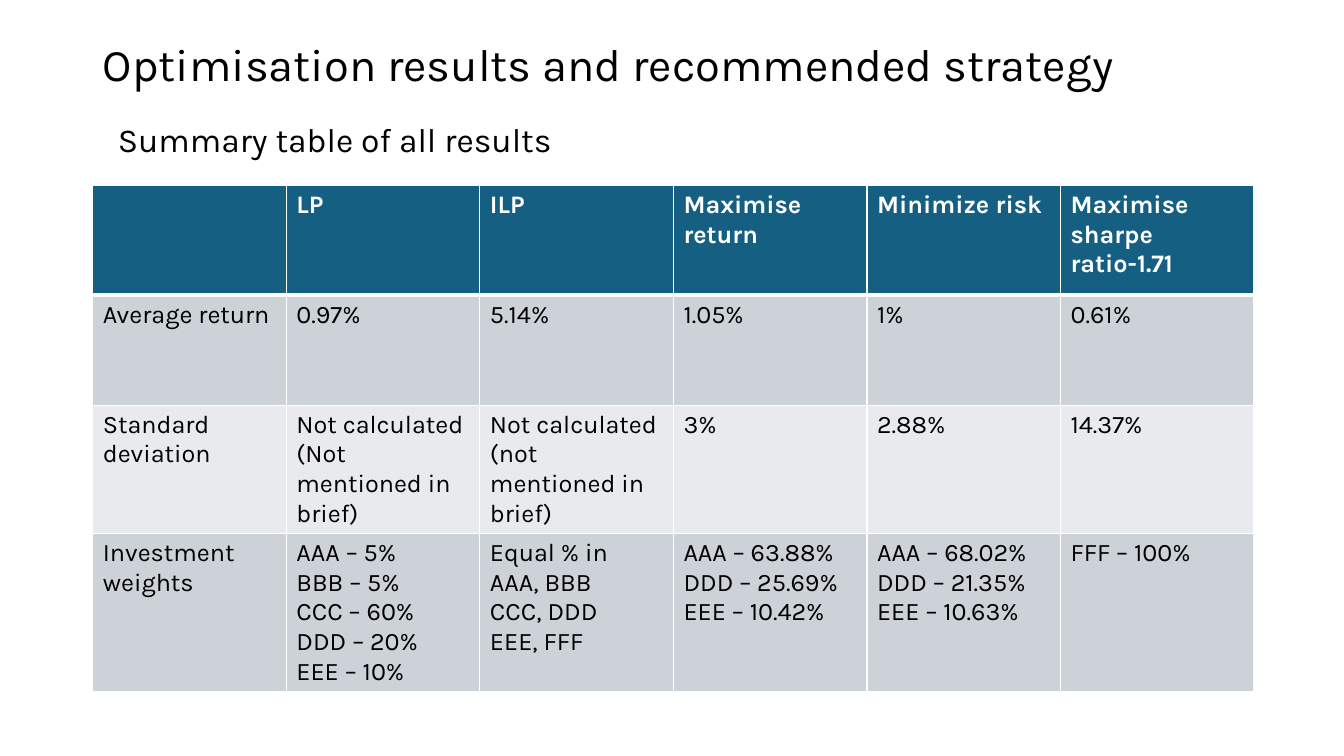
from dataclasses import dataclass

from lxml import etree
from pptx import Presentation
from pptx.dml.color import RGBColor
from pptx.enum import text
from pptx.oxml import ns
from pptx.util import Emu, Pt

PX = 9144  # EMU in one px, 100 px to the inch

BLACK = RGBColor(0x00, 0x00, 0x00)
WHITE = RGBColor(0xFF, 0xFF, 0xFF)
HEADER_BLUE = RGBColor(0x15, 0x60, 0x82)
BAND_DARK = RGBColor(0xCC, 0xD2, 0xD8)
BAND_LIGHT = RGBColor(0xE8, 0xEA, 0xED)

TITLE_FONT = {"name": "Karla", "size": Pt(32.4), "bold": False}
SUBTITLE_FONT = {"name": "Karla", "size": Pt(24), "bold": False}
HEADER_FONT = {"name": "Karla", "size": Pt(18), "bold": True}
BODY_FONT = {"name": "Karla", "size": Pt(18), "bold": False}


@dataclass(frozen=True)
class ResultRow:
    height: int
    fill: RGBColor
    color: RGBColor
    font: dict
    cells: tuple[str, ...]
    rule_below: int = 1


COLUMN_WIDTH = 192
RESULTS = (
    ResultRow(109, HEADER_BLUE, WHITE, HEADER_FONT,
              ("", "LP", "ILP", "Maximise return", "Minimize risk",
               "Maximise sharpe ratio-1.71"), rule_below=3),
    ResultRow(109, BAND_DARK, BLACK, BODY_FONT,
              ("Average return", "0.97%", "5.14%", "1.05%", "1%", "0.61%")),
    ResultRow(109, BAND_LIGHT, BLACK, BODY_FONT,
              ("Standard deviation",
               "Not calculated\n(Not mentioned in brief)",
               "Not calculated\n(not mentioned in brief)",
               "3%", "2.88%", "14.37%")),
    ResultRow(142, BAND_DARK, BLACK, BODY_FONT,
              ("Investment weights",
               "AAA – 5%\nBBB – 5%\nCCC – 60%\nDDD – 20%\nEEE – 10%",
               "Equal % in\nAAA, BBB\nCCC, DDD\nEEE, FFF",
               "AAA – 63.88%\nDDD – 25.69%\nEEE – 10.42%",
               "AAA – 68.02%\nDDD – 21.35%\nEEE – 10.63%",
               "FFF – 100%")),
)


def px(*lengths: int) -> list[Emu]:
    return [Emu(length * PX) for length in lengths]


def write(frame, words: str, font: dict, color: RGBColor) -> None:
    frame.text = words
    for paragraph in frame.paragraphs:
        paragraph.alignment = text.PP_ALIGN.LEFT
        for key, value in font.items():
            setattr(paragraph.font, key, value)
        paragraph.font.color.rgb = color
        for run in paragraph.runs:
            for key, value in font.items():
                setattr(run.font, key, value)
            run.font.color.rgb = color


def add_borders(cell, above: int, below: int) -> None:
    properties = cell._tc.get_or_add_tcPr()
    sides = {"a:lnL": 1, "a:lnR": 1, "a:lnT": above, "a:lnB": below}
    for position, (side, points) in enumerate(sides.items()):
        line = etree.Element(ns.qn(side), w=str(Pt(points)))
        fill = etree.SubElement(line, ns.qn("a:solidFill"))
        etree.SubElement(fill, ns.qn("a:srgbClr"), val=str(WHITE))
        properties.insert(position, line)


def add_results_table(slide, rows: tuple[ResultRow, ...]) -> None:
    column_count = len(rows[0].cells)
    height = sum(row.height for row in rows)
    table = slide.shapes.add_table(
        len(rows), column_count,
        *px(92, 184, COLUMN_WIDTH * column_count, height)).table
    rule_above = 1
    for row_index, row in enumerate(rows):
        table.rows[row_index].height = Emu(row.height * PX)
        for column_index, words in enumerate(row.cells):
            cell = table.cell(row_index, column_index)
            write(cell.text_frame, words, row.font, row.color)
            cell.fill.solid()
            cell.fill.fore_color.rgb = row.fill
            add_borders(cell, rule_above, row.rule_below)
        rule_above = row.rule_below


def main() -> None:
    presentation = Presentation()
    presentation.slide_width, presentation.slide_height = px(1333, 750)
    slide = presentation.slides.add_slide(presentation.slide_layouts[5])

    # Title
    title = slide.shapes.title
    title.left, title.top, title.width, title.height = px(92, 40, 1150, 53)
    write(title.text_frame, "Optimisation results and recommended strategy",
          TITLE_FONT, BLACK)
    title.text_frame.auto_size = text.MSO_AUTO_SIZE.NONE
    title.text_frame.vertical_anchor = text.MSO_ANCHOR.MIDDLE
    title.text_frame.paragraphs[0].line_spacing = 0.9

    # Results table
    add_results_table(slide, RESULTS)

    # Subtitle above the table
    subtitle = slide.shapes.add_textbox(*px(107, 113, 762, 50)).text_frame
    subtitle.word_wrap = True
    subtitle.auto_size = text.MSO_AUTO_SIZE.SHAPE_TO_FIT_TEXT
    write(subtitle, "Summary table of all results", SUBTITLE_FONT, BLACK)

    presentation.save("out.pptx")


if __name__ == "__main__":
    main()
